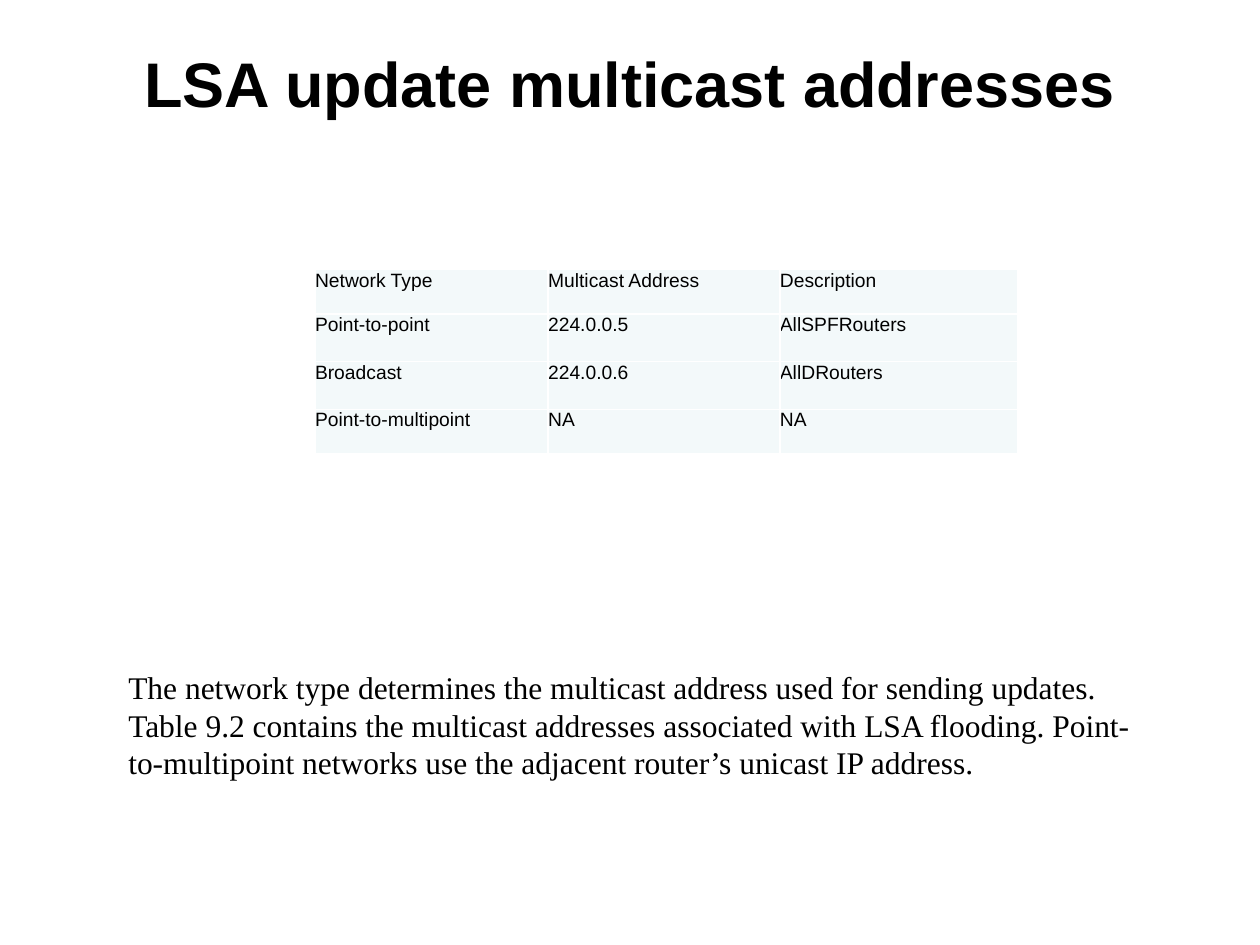
"""Build a slide listing the multicast addresses used for LSA updates."""
import lxml.etree
import pptx
import pptx.dml.color
import pptx.enum.text
import pptx.oxml.ns
import pptx.util

Inches = pptx.util.Inches
Align = pptx.enum.text.PP_ALIGN

COLUMN_WIDTHS = [1.85, 1.84, 1.89]
ROW_HEIGHTS = [0.35, 0.38, 0.38, 0.35]
ADDRESS_ROWS = [
    ["Network Type", "Multicast Address", "Description"],
    ["Point-to-point", "224.0.0.5", "AllSPFRouters"],
    ["Broadcast", "224.0.0.6", "AllDRouters"],
    ["Point-to-multipoint", "NA", "NA"],
]
EXPLANATION = (
    "The network type determines the multicast address used for sending updates. "
    "Table 9.2 contains the multicast addresses associated with LSA flooding. "
    "Point-to-multipoint networks use the adjacent router’s unicast IP address."
)


def color(value):
    return pptx.dml.color.RGBColor.from_string(value)


def write_text(text_frame, text, font_name, size, bold=False, align=Align.LEFT):
    text_frame.text = text
    paragraph = text_frame.paragraphs[0]
    paragraph.alignment = align
    font = paragraph.runs[0].font
    font.name = font_name
    font.size = pptx.util.Pt(size)
    font.bold = bold
    font.color.rgb = color("000000")
    return paragraph


def add_text(slide, left, top, width, height, text, font_name, size, **style):
    shape = slide.shapes.add_textbox(
        Inches(left), Inches(top), Inches(width), Inches(height)
    )
    shape.text_frame.word_wrap = True
    write_text(shape.text_frame, text, font_name, size, **style)


def set_borders(cell, value, points):
    qualified = pptx.oxml.ns.qn
    properties = cell._tc.get_or_add_tcPr()
    for index, side in enumerate(["lnL", "lnR", "lnT", "lnB"]):
        line = lxml.etree.Element(
            qualified(f"a:{side}"), w=str(pptx.util.Pt(points))
        )
        fill = lxml.etree.SubElement(line, qualified("a:solidFill"))
        lxml.etree.SubElement(fill, qualified("a:srgbClr"), val=value)
        properties.insert(index, line)


def format_cell(cell, text, space_after):
    cell.margin_left = cell.margin_right = 0
    cell.margin_top = cell.margin_bottom = 0
    paragraph = write_text(cell.text_frame, text, "Arial", 11)
    paragraph.space_after = pptx.util.Pt(space_after)
    cell.fill.solid()
    cell.fill.fore_color.rgb = color("F3F9FA")
    set_borders(cell, "FFFFFF", 1)


def add_address_table(slide, left, top):
    table = slide.shapes.add_table(
        len(ROW_HEIGHTS), len(COLUMN_WIDTHS), Inches(left), Inches(top),
        Inches(sum(COLUMN_WIDTHS)), Inches(sum(ROW_HEIGHTS)),
    ).table
    table.first_row = False
    table.horz_banding = False
    for column, width in zip(table.columns, COLUMN_WIDTHS):
        column.width = Inches(width)
    for row_index, (row, height) in enumerate(zip(table.rows, ROW_HEIGHTS)):
        row.height = Inches(height)
        for cell, text in zip(row.cells, ADDRESS_ROWS[row_index]):
            format_cell(cell, text, space_after=3 if row_index else 0)


def main():
    presentation = pptx.Presentation()
    presentation.slide_width = Inches(10)
    presentation.slide_height = Inches(7.5)
    slide = presentation.slides.add_slide(presentation.slide_layouts[6])
    add_text(slide, 0.5, 0.3, 9, 1.25, "LSA update multicast addresses",
             "Arial", 36, bold=True, align=Align.CENTER)
    add_address_table(slide, 2.5, 2.14)
    add_text(slide, 0.92, 5.25, 8.17, 1.01, EXPLANATION, "Times New Roman", 18)
    presentation.save("out.pptx")


if __name__ == "__main__":
    main()
